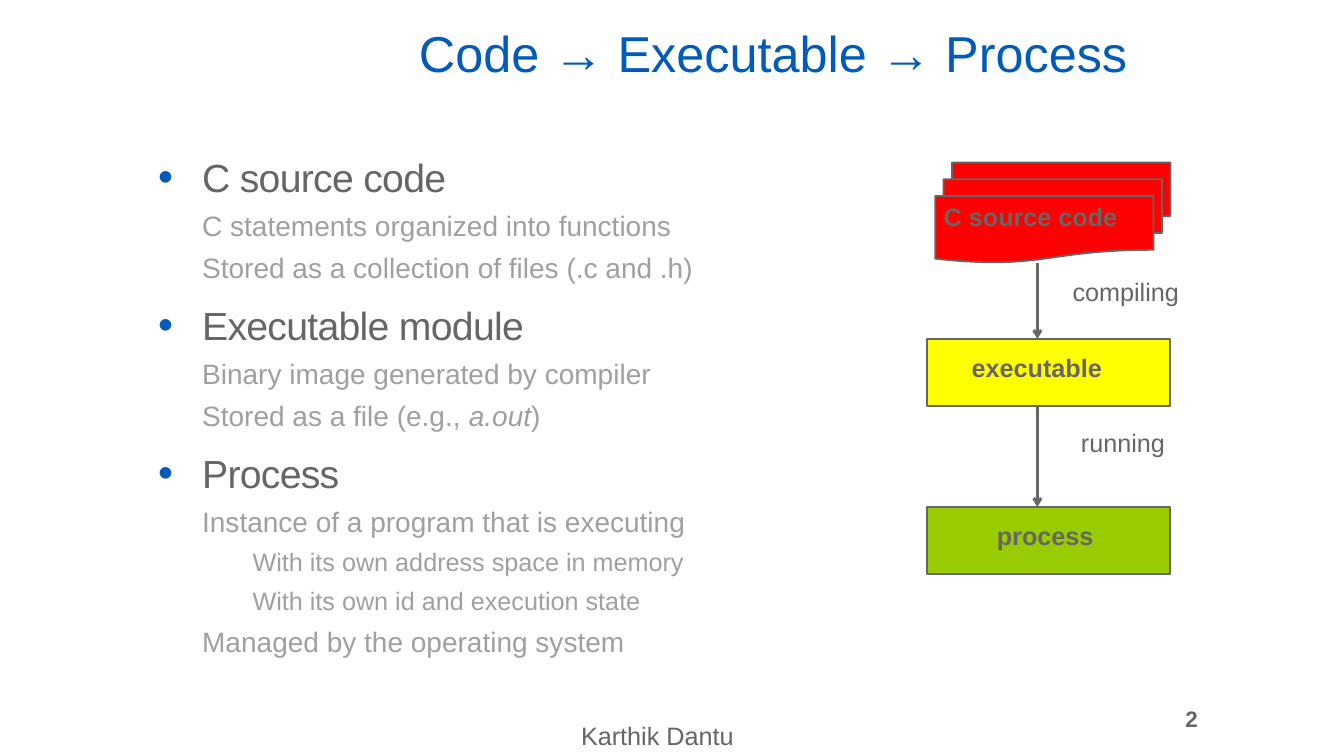
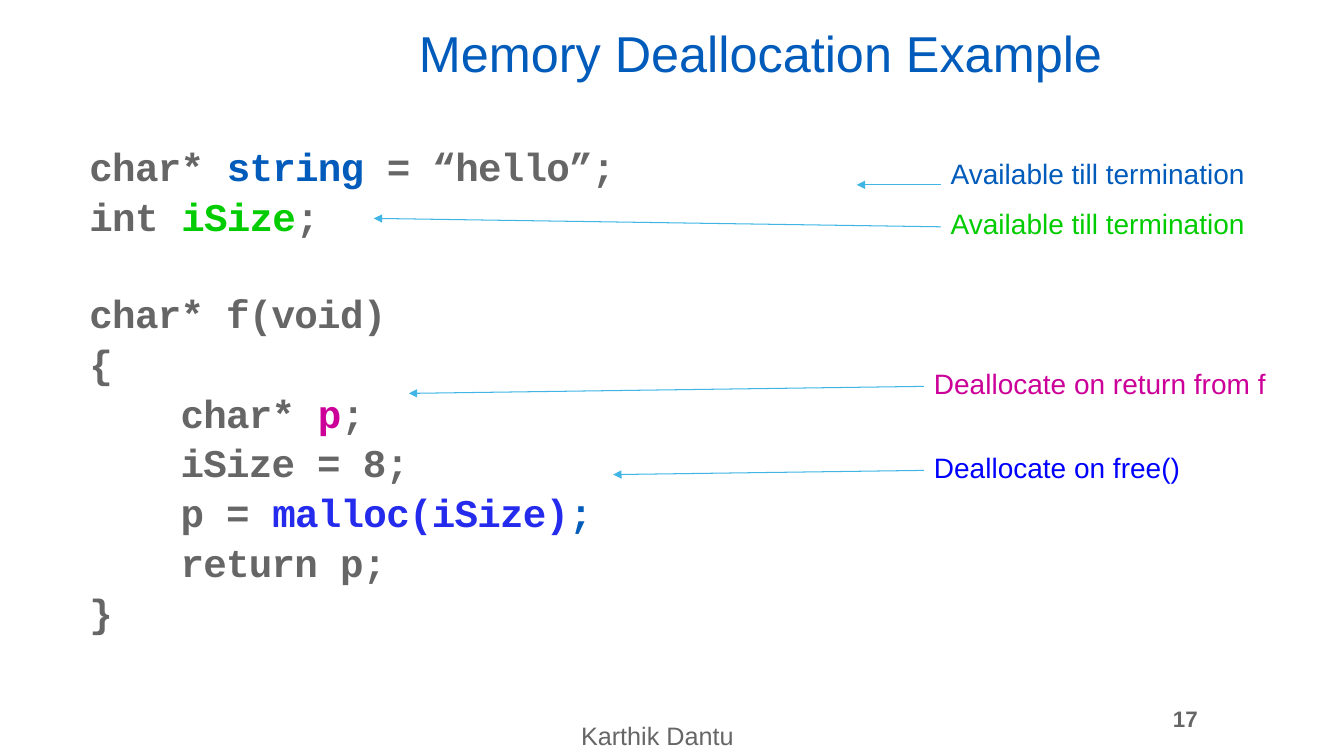
from lxml.etree import SubElement
from pptx import Presentation
from pptx.dml.color import RGBColor
from pptx.enum.shapes import MSO_CONNECTOR as Line, MSO_SHAPE as Kind
from pptx.enum.text import MSO_ANCHOR as Anchor, MSO_AUTO_SIZE as Fit, PP_ALIGN as Align
from pptx.oxml.ns import qn
from pptx.util import Pt

HUES = {
    "blue": "005BBB", "gray": "666666", "pale": "A0A0A0", "sky": "41B6E6",
    "red": "FF0000", "yellow": "FFFF00", "lime": "99CC00", "green": "00CC00",
    "pink": "CC0099", "navy": "0000FF", "violet": "242BED",
}
SANS, MONO = "Arial", "Courier New"

# level: size, colour, left margin, first-line indent, space before, tracking
LEVELS = [
    (28, "gray", 36, -31.5, 10, -50),
    (20, "pale", 36, 0, 5, 0),
    (18, "pale", 72, 0, 5, 0),
]
TOPICS = [
    (0, ["C source code"]),
    (1, ["C statements organized into functions"]),
    (1, ["Stored as a collection of files (.c and .h)"]),
    (0, ["Executable module"]),
    (1, ["Binary image generated by compiler"]),
    (1, ["Stored as a file (e.g., ", "a.out", ")"]),
    (0, ["Process"]),
    (1, ["Instance of a program that is executing"]),
    (2, ["With its own address space in memory"]),
    (2, ["With its own id and execution state"]),
    (1, ["Managed by the operating system"]),
]
# Each line holds (text, colour) runs; an empty line becomes a gap.
CODE = [
    [("char* ", "gray"), ("string", "blue"), (" = “hello”;", "gray")],
    [("int ", "gray"), ("iSize", "green"), (";", "gray")],
    [],
    [("char* f(void)", "gray")],
    [("{", "gray")],
    [("    char* ", "gray"), ("p", "pink"), (";", "gray")],
    [("    iSize = 8;", "gray")],
    [("    p = ", "gray"), ("malloc(iSize)", "violet"), (";", "blue")],
    [("    return p;", "gray")],
    [("}", "gray")],
]
# text, colour, left, top, width, arrow start y, arrow end
NOTES = [
    ("Available till termination", "blue", 672, 108, 227, 132, (612, 132)),
    ("Available till termination", "green", 672, 144, 227, 162, (267, 156)),
    ("Deallocate on return from f", "pink", 660, 258, 254, 276, (292, 281)),
    ("Deallocate on free()", "navy", 660, 318, 192, 336, (438, 339)),
]


def rgb(hue):
    return RGBColor.from_string(HUES[hue])


def add_run(para, text, size, hue, bold=False, italic=False, face=SANS, track=0):
    run = para.add_run()
    run.text = text
    font = run.font
    font.name, font.size, font.bold, font.italic = face, Pt(size), bold, italic
    font.color.rgb = rgb(hue)
    if track:
        font._element.set("spc", str(track))


def place(shape, left, top, width, height):
    shape.left, shape.top = Pt(left), Pt(top)
    shape.width, shape.height = Pt(width), Pt(height)


def label(slide, box, text, size, hue, bold=False):
    frame = slide.shapes.add_textbox(*map(Pt, box)).text_frame
    frame.word_wrap = True
    add_run(frame.paragraphs[0], text, size, hue, bold)
    return frame


def block(slide, kind, box, hue):
    shape = slide.shapes.add_shape(kind, *map(Pt, box))
    shape.shadow.inherit = False
    shape.fill.solid()
    shape.fill.fore_color.rgb = rgb(hue)
    shape.line.color.rgb = rgb("gray")
    shape.line.width = Pt(1.25)


def arrow(slide, start, end, hue, width, tip):
    link = slide.shapes.add_connector(Line.STRAIGHT, *map(Pt, start + end))
    link.line.color.rgb = rgb(hue)
    link.line.width = Pt(width)
    SubElement(link.line._get_or_add_ln(), qn("a:tailEnd"), type=tip)
    SubElement(link._element.spPr, qn("a:effectLst"))


def indent(para, left, first, mark=False):
    """Set the margins and either a blue bullet or none."""
    props = para._p.get_or_add_pPr()
    props.set("marL", str(Pt(left)))
    props.set("indent", str(Pt(first)))
    if mark:
        color = SubElement(props, qn("a:buClr"))
        SubElement(color, qn("a:srgbClr"), val=HUES["blue"])
        SubElement(props, qn("a:buSzPct"), val="109000")
        SubElement(props, qn("a:buFont"), typeface=SANS)
        SubElement(props, qn("a:buChar"), char="•")
    else:
        SubElement(props, qn("a:buNone"))


def add_page(deck, title, number):
    """Add a slide with its title, page number and footer."""
    slide = deck.slides.add_slide(deck.slide_layouts[1])
    head = slide.shapes.title
    place(head, 292, 17, 556, 40)
    frame = head.text_frame
    frame.auto_size, frame.vertical_anchor = Fit.NONE, Anchor.TOP
    para = frame.paragraphs[0]
    para.alignment, para.line_spacing = Align.LEFT, 0.9
    add_run(para, title, 36, "blue")

    page = label(slide, (808, 492, 57, 42), number, 16, "gray", True)
    page.vertical_anchor = Anchor.MIDDLE
    page.margin_left = page.margin_right = Pt(9.4)
    page.paragraphs[0].alignment = Align.RIGHT
    label(slide, (408, 511, 144, 29), "Karthik Dantu", 18, "gray")
    return slide


def get_body(slide, box):
    body = slide.placeholders[1]
    place(body, *box)
    frame = body.text_frame
    frame.auto_size, frame.vertical_anchor = Fit.NONE, Anchor.TOP
    frame.margin_left = frame.margin_right = Pt(14.4)
    return frame


def add_para(frame, first):
    return frame.paragraphs[0] if first else frame.add_paragraph()


def add_topics(slide):
    frame = get_body(slide, (94, 104, 451, 370))
    for i, (level, parts) in enumerate(TOPICS):
        size, hue, left, first, gap, track = LEVELS[level]
        para = add_para(frame, i == 0)
        para.level = level
        indent(para, left, first, level == 0)
        para.line_spacing = 1.05
        para.space_before = Pt(gap if i else 0)
        for part in parts:
            add_run(para, part, size, hue, italic=part == "a.out", track=track)


def add_code(slide):
    frame = get_body(slide, (45, 96, 503, 370))
    gap = 0
    for i, line in enumerate(CODE):
        if not line:
            gap = 33.6
            continue
        para = add_para(frame, i == 0)
        indent(para, 36, -31.5)
        para.line_spacing = 1.06
        para.space_before = Pt(gap)
        gap = 0
        for text, hue in line:
            add_run(para, text, 28, hue, True, face=MONO, track=-50)


def add_flow(slide):
    for i in range(3):
        block(slide, Kind.FLOWCHART_DOCUMENT, (680 - 6 * i, 116 + 12 * i, 156, 48), "red")
    label(slide, (667, 140, 157, 36), "C source code", 18, "gray", True)
    steps = [
        ("executable", "yellow", 242, 687, 122, 188, "compiling", 759, 194),
        ("process", "lime", 362, 705, 91, 290, "running", 765, 302),
    ]
    for name, hue, top, left, width, start, verb, side, high in steps:
        arrow(slide, (741, start), (741, top), "gray", 2, "arrow")
        block(slide, Kind.RECTANGLE, (662, top, 174, 48), hue)
        label(slide, (left, top + 6, width, 36), name, 18, "gray", True)
        label(slide, (side, high, 112, 36), verb, 18, "gray")


def add_notes(slide):
    for text, hue, left, top, width, start, end in NOTES:
        label(slide, (left, top, width, 32), text, 20, hue)
        arrow(slide, (left, start), end, "sky", 0.75, "triangle")


def main():
    deck = Presentation()
    deck.slide_width, deck.slide_height = Pt(960), Pt(540)
    slide = add_page(deck, "Code → Executable → Process", "2")
    add_topics(slide)
    add_flow(slide)
    slide = add_page(deck, "Memory Deallocation Example", "17")
    add_code(slide)
    add_notes(slide)
    deck.save("out.pptx")


if __name__ == "__main__":
    main()
